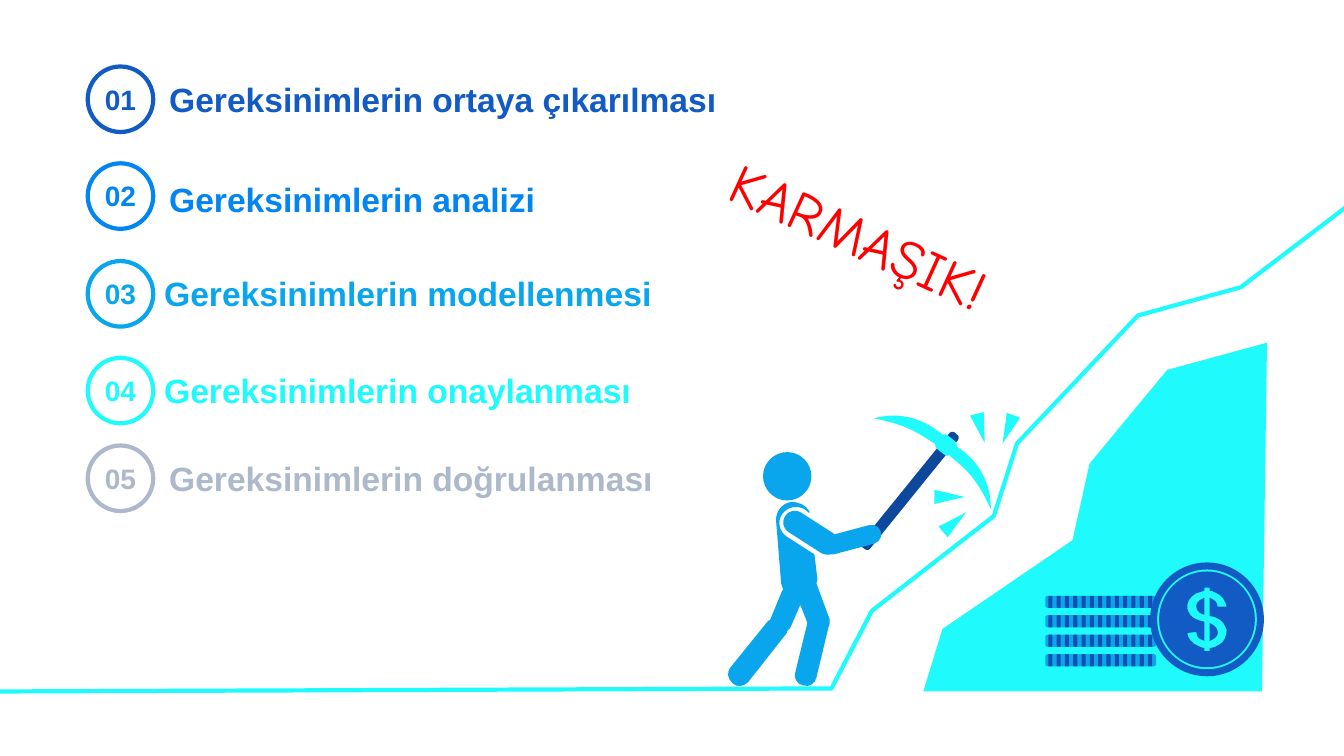
from dataclasses import dataclass

from pptx import Presentation
from pptx.dml.color import RGBColor
from pptx.enum.shapes import MSO_SHAPE
from pptx.enum.text import MSO_AUTO_SIZE, PP_ALIGN
from pptx.oxml.ns import qn
from pptx.util import Inches, Pt

OVAL = MSO_SHAPE.OVAL
ROUNDED = MSO_SHAPE.ROUNDED_RECTANGLE
TRIANGLE = MSO_SHAPE.ISOSCELES_TRIANGLE
GROW = MSO_AUTO_SIZE.SHAPE_TO_FIT_TEXT
LEFT, CENTER = PP_ALIGN.LEFT, PP_ALIGN.CENTER

COLS, ROWS = 1333.33, 750
CELL = Inches(0.01)
ARC = 0.55


@dataclass(frozen=True)
class Theme:
    royal: str = "125AC4"
    blue: str = "0085F2"
    sky: str = "0AA6ED"
    cyan: str = "1FFBFD"
    grey: str = "ADB9CA"
    handle: str = "0E489D"
    ridge: str = "1051B0"
    red: str = "FF0000"
    font: str = "Arial"
    hand_font: str = "Comic Neue"
    number_size: int = 20
    label_size: int = 24
    shout_size: int = 40
    line: int = 3


T = Theme()

STEPS = [
    ("Gereksinimlerin ortaya çıkarılması", T.royal, 66, 158, 73.5, 622),
    ("Gereksinimlerin analizi", T.blue, 162, 158, 173, 622),
    ("Gereksinimlerin modellenmesi", T.sky, 259, 153, 265.5, 541),
    ("Gereksinimlerin onaylanması", T.cyan, 355, 153, 362, 541),
    ("Gereksinimlerin doğrulanması", T.grey, 442, 158, 449, 541),
]

SLOPE = [(0, 686), (825, 683), (865, 606), (986, 512), (1009, 440),
         (1129, 313), (1231, 285), (1336, 205)]
MOUNTAIN = [(1257, 340), (1158, 367), (1081, 460), (1064, 536),
            (935, 624), (916, 686), (1252, 686)]
PICK_TIPS = [
    [(949, 443), (962, 451, 983, 470, 983, 505), (966, 468, 953, 462, 942, 452)],
    [(936, 432), (924, 422, 901, 406, 867, 415), (907, 423, 916, 434, 929, 441)],
]
BODY = [
    (785, 498), (793, 498, 799, 501, 803, 507), (803, 509), (798, 505),
    (790, 501, 781, 503, 776, 510), (771, 517, 773, 527, 780, 532),
    (808, 550), (811, 575), (810, 579), (823, 614),
    (823, 615, 823, 617, 823, 618), (823, 619, 823, 621, 822, 622),
    (810, 672), (809, 678, 803, 682, 797, 680), (791, 679, 787, 673, 789, 667),
    (801, 618), (794, 600), (784, 623), (781, 626),
    (781, 628, 780, 629, 779, 630), (742, 677),
    (738, 681, 731, 682, 727, 678), (722, 674, 721, 667, 724, 663),
    (762, 616), (764, 615), (776, 586), (777, 585), (775, 579), (770, 517),
    (769, 508, 776, 499, 785, 498),
]
DOLLAR = [
    [(1200, 618), (1204, 620, 1207, 622, 1208, 626),
     (1209, 629, 1207, 632, 1204, 634), (1203, 635, 1201, 635, 1200, 636)],
    [(1195, 593), (1195, 610), (1191, 609, 1188, 607, 1187, 603),
     (1186, 600, 1188, 597, 1191, 595), (1192, 594, 1193, 594, 1195, 593)],
    [(1195, 583), (1195, 586), (1192, 587, 1189, 588, 1186, 589),
     (1180, 593, 1177, 598, 1178, 604), (1181, 614, 1188, 615, 1195, 617),
     (1195, 636), (1194, 635, 1193, 635, 1193, 635),
     (1189, 634, 1187, 631, 1187, 627), (1178, 628),
     (1178, 633, 1183, 639, 1189, 641), (1191, 642, 1193, 643, 1195, 643),
     (1195, 646), (1200, 646), (1200, 643),
     (1203, 643, 1206, 642, 1209, 640), (1215, 637, 1217, 631, 1217, 625),
     (1214, 615, 1207, 612, 1200, 611), (1200, 593),
     (1201, 594, 1201, 594, 1202, 594), (1206, 596, 1208, 598, 1208, 602),
     (1217, 602), (1216, 596, 1212, 590, 1206, 588),
     (1204, 587, 1202, 586, 1200, 586), (1200, 583)],
]
SPARKS = [(940, 503, 49.3), (935, 478, 90), (966, 410, 165), (993, 411, 201.1)]


def cells(*counts):
    return [round(n * CELL) for n in counts]


def paint(sp, fill=None, line=None):
    sp.shadow.inherit = False
    if fill:
        sp.fill.solid()
        sp.fill.fore_color.rgb = RGBColor.from_string(fill)
    else:
        sp.fill.background()
    if line:
        sp.line.color.rgb = RGBColor.from_string(line)
        sp.line.width = Pt(T.line)
    else:
        sp.line.fill.background()


def add_preset(shapes, kind, box, rotation=0, corner=None, **colours):
    sp = shapes.add_shape(kind, *cells(*box))
    sp.rotation = rotation
    if corner is not None:
        sp.adjustments[0] = corner
    paint(sp, **colours)


def circle(x, y, radius):
    contour = [(x, y - radius)]
    for dx, dy in ((0, -1), (1, 0), (0, 1), (-1, 0)):
        ex, ey = -dy, dx
        contour.append((x + radius * (dx + ARC * ex), y + radius * (dy + ARC * ey),
                        x + radius * (ex + ARC * dx), y + radius * (ey + ARC * dy),
                        x + radius * ex, y + radius * ey))
    return contour


def split_points(contour):
    return [cells(*step[i:i + 2]) for step in contour for i in range(0, len(step), 2)]


def bend(sp, contours, close):
    outline = sp.element.find(".//" + qn("a:path"))
    nodes = iter(list(outline))
    for contour in contours:
        for step in contour:
            node = next(nodes)
            if len(step) == 6:
                node.tag = qn("a:cubicBezTo")
                for _ in range(2):
                    extra = next(nodes)
                    node.append(extra[0])
                    outline.remove(extra)
        if close:
            next(nodes)


def add_outline(shapes, contours, close=True, **colours):
    first, *others = [split_points(c) for c in contours]
    builder = shapes.build_freeform(*first[0], scale=1.0)
    builder.add_line_segments(first[1:], close=close)
    for points in others:
        builder.move_to(*points[0])
        builder.add_line_segments(points[1:], close=close)
    sp = builder.convert_to_shape()
    bend(sp, contours, close)
    paint(sp, **colours)


def add_text(s, text, box, colour, size, name=T.font, bold=True, align=LEFT, rotation=0):
    sp = s.shapes.add_textbox(*cells(*box))
    sp.rotation = rotation
    tf = sp.text_frame
    tf.word_wrap = True
    tf.auto_size = GROW
    p = tf.paragraphs[0]
    p.alignment = align
    r = p.add_run()
    r.text = text
    for key, value in {"name": name, "size": Pt(size), "bold": bold}.items():
        setattr(r.font, key, value)
    r.font.color.rgb = RGBColor.from_string(colour)


def add_step(s, number, text, colour, top, label_left, label_top, label_width):
    add_preset(s.shapes, OVAL, (87, top, 65, 65), line=colour)
    add_text(s, f"{number:02}", (94, top + 10.5, 51, 44), colour, T.number_size, align=CENTER)
    add_text(s, text, (label_left, label_top, label_width, 50), colour, T.label_size)


def add_pickaxe(s):
    shapes = s.shapes.add_group_shape().shapes
    add_preset(shapes, ROUNDED, (897, 414, 11, 146), 39, 0.34, fill=T.handle)
    add_preset(shapes, ROUNDED, (929, 433, 19, 17), 39, 0.28, fill=T.cyan)
    for tip in PICK_TIPS:
        add_outline(shapes, [tip], fill=T.cyan)


def add_worker(s):
    shapes = s.shapes.add_group_shape().shapes
    add_outline(shapes, [BODY, circle(781, 472.5, 24)], fill=T.sky)
    add_preset(shapes, ROUNDED, (793, 498, 23, 61), 302.7, 0.5, fill=T.sky)
    add_preset(shapes, ROUNDED, (835, 505, 19, 61), 255.1, 0.5, fill=T.sky)


def add_coin_edge(s, top):
    shapes = s.shapes.add_group_shape().shapes
    add_preset(shapes, ROUNDED, (1037, top, 110, 12), corner=0.2, fill=T.sky)
    for i in range(13):
        add_preset(shapes, ROUNDED, (1040 + 8.25 * i, top, 4, 12), corner=0.2, fill=T.ridge)


def main():
    prs = Presentation()
    prs.slide_width, prs.slide_height = cells(COLS, ROWS)
    s = prs.slides.add_slide(prs.slide_layouts[6])
    add_outline(s.shapes, [SLOPE], close=False, line=T.cyan)
    add_outline(s.shapes, [MOUNTAIN], fill=T.cyan)
    add_pickaxe(s)
    add_worker(s)
    for i in range(4):
        add_coin_edge(s, 649 - 19.33 * i)
    for left, top, rotation in SPARKS:
        add_preset(s.shapes, TRIANGLE, (left, top, 14, 30), rotation, fill=T.cyan)
    rings = [circle(1197.5, 614.5, radius) for radius in (56.5, 49.5, 47.5)]
    add_outline(s.shapes, DOLLAR + rings, fill=T.royal)
    for number, step in enumerate(STEPS, 1):
        add_step(s, number, *step)
    add_text(s, "KARMAŞIK!", (701, 222, 421, 77), T.red, T.shout_size,
             name=T.hand_font, bold=False, rotation=24.7)
    prs.save("out.pptx")


if __name__ == "__main__":
    main()
